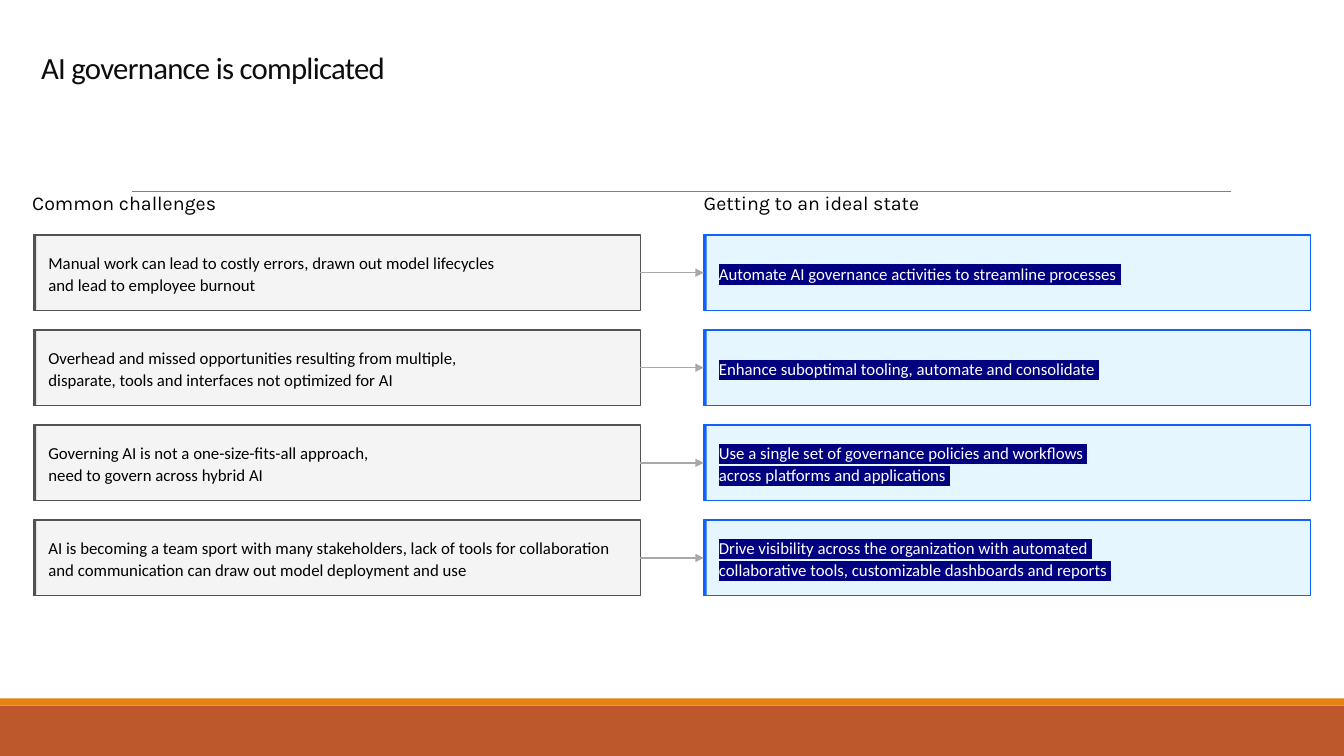
from lxml.etree import SubElement
from pptx import Presentation
from pptx.dml.color import RGBColor
from pptx.enum.shapes import MSO_CONNECTOR, MSO_SHAPE
from pptx.enum.text import MSO_ANCHOR, PP_ALIGN
from pptx.oxml import parse_xml
from pptx.oxml.ns import nsdecls, qn
from pptx.util import Inches, Pt

COLORS = {
    "band": "BD582C", "band_edge": "E48312", "rule": "808080", "title": "0D0D0D",
    "text": "000000", "challenge_fill": "F4F4F4", "challenge_line": "525252",
    "ideal_fill": "E5F6FF", "ideal_line": "0F62FE", "ideal_text": "FFFFFF",
    "highlight": "000080", "arrow": "A8A8A8",
}
CARD_WIDTH, CARD_HEIGHT = 6.02, 0.75
FIRST_TOP, LAST_TOP = 2.33, 5.16

# A vertical tab marks a line break inside a paragraph.
ROWS = [
    ("Manual work can lead to costly errors, drawn out model lifecycles \vand lead to employee burnout",
     "Automate AI governance activities to streamline processes "),
    ("Overhead and missed opportunities resulting from multiple, \vdisparate, tools and interfaces not optimized for AI",
     "Enhance suboptimal tooling, automate and consolidate "),
    ("Governing AI is not a one-size-fits-all approach, \vneed to govern across hybrid AI",
     "Use a single set of governance policies and workflows \vacross platforms and applications "),
    ("AI is becoming a team sport with many stakeholders, lack of tools for collaboration "
     "and communication can draw out model deployment and use",
     "Drive visibility across the organization with automated \v"
     "collaborative tools, customizable dashboards and reports "),
]
COLUMNS = [
    (0.33, "challenge_fill", "challenge_line", "text"),
    (6.98, "ideal_fill", "ideal_line", "ideal_text"),
]

presentation = Presentation()
presentation.slide_width = Inches(13.33)
presentation.slide_height = Inches(7.5)
slide = presentation.slides.add_slide(presentation.slide_layouts[6])


def add_rectangle(left, top, width, height, fill, line=None):
    shape = slide.shapes.add_shape(
        MSO_SHAPE.RECTANGLE, Inches(left), Inches(top), Inches(width), Inches(height))
    shape.shadow.inherit = False
    shape.fill.solid()
    shape.fill.fore_color.rgb = RGBColor.from_string(COLORS[fill])
    if line:
        shape.line.color.rgb = RGBColor.from_string(COLORS[line])
        shape.line.width = Pt(1)
    else:
        shape.line.fill.background()
    return shape


def add_line(left, right, y, color, width):
    connector = slide.shapes.add_connector(
        MSO_CONNECTOR.STRAIGHT, Inches(left), Inches(y), Inches(right), Inches(y))
    connector.line.color.rgb = RGBColor.from_string(COLORS[color])
    connector.line.width = Pt(width)
    SubElement(connector._element.spPr, qn("a:effectLst"))
    return connector


# Footer bands and heading rule
add_rectangle(0, 7, 13.33, 0.5, "band")
add_rectangle(0, 6.93, 13.33, 0.07, "band_edge")
add_line(1.31, 12.21, 1.9, "rule", 0.5)

# Title and column headings
for text, left, top, width, height, font_name, size, color in [
    ("AI governance is complicated", 0.31, 0.28, 4.68, 0.62, "Calibri", 22, "title"),
    ("Common challenges", 0.32, 1.89, 2.87, 0.32, "Karla", 14, "text"),
    ("Getting to an ideal state", 6.98, 1.89, 3.33, 0.32, "Karla", 14, "text"),
]:
    box = slide.shapes.add_textbox(Inches(left), Inches(top), Inches(width), Inches(height))
    frame = box.text_frame
    frame.word_wrap = True
    frame.text = text
    run = frame.paragraphs[0].runs[0]
    run.font.name = font_name
    run.font.size = Pt(size)
    run.font.color.rgb = RGBColor.from_string(COLORS[color])
    if color == "title":
        frame.vertical_anchor = MSO_ANCHOR.BOTTOM
        run.font._element.set("spc", "-50")
    else:
        frame.margin_left = frame.margin_right = frame.margin_top = frame.margin_bottom = 0

# Challenge and ideal-state cards, joined by arrows
row_pitch = (LAST_TOP - FIRST_TOP) / (len(ROWS) - 1)
for index, texts in enumerate(ROWS):
    top = FIRST_TOP + index * row_pitch
    cards = []
    for text, (left, fill, line, color) in zip(texts, COLUMNS):
        card = add_rectangle(left, top, CARD_WIDTH, CARD_HEIGHT, fill, line)
        add_rectangle(left, top, 0.03, CARD_HEIGHT, line)
        cards.append(card)
        frame = card.text_frame
        frame.word_wrap = True
        frame.vertical_anchor = MSO_ANCHOR.MIDDLE
        frame.margin_left = frame.margin_right = Inches(0.15)
        frame.margin_top = frame.margin_bottom = Inches(0.15)
        paragraph = frame.paragraphs[0]
        paragraph.text = text
        paragraph.alignment = PP_ALIGN.LEFT
        paragraph.line_spacing = 1.1
        for run in paragraph.runs:
            run.font.size = Pt(12)
            run.font.name = "Calibri"
            run.font.color.rgb = RGBColor.from_string(COLORS[color])
            if color == "ideal_text":
                highlight = parse_xml(
                    f'<a:highlight {nsdecls("a")}><a:srgbClr val="{COLORS["highlight"]}"/></a:highlight>')
                run.font._element.find(qn("a:solidFill")).addnext(highlight)

    challenge, ideal = cards
    arrow = add_line(6.35, 6.98, top + CARD_HEIGHT / 2, "arrow", 1)
    arrow.begin_connect(challenge, 3)
    arrow.end_connect(ideal, 1)
    SubElement(arrow.line._get_or_add_ln(), qn("a:tailEnd"), type="triangle")

presentation.save("out.pptx")
